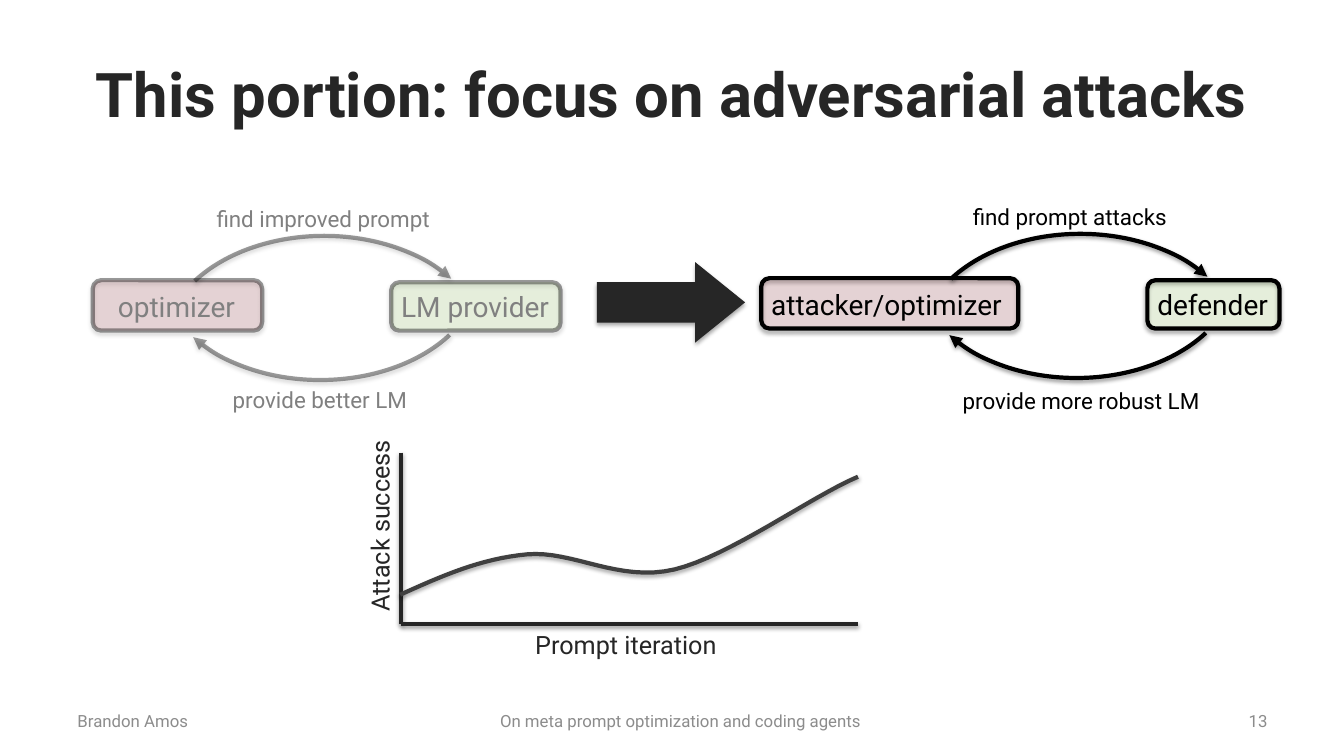
from dataclasses import dataclass
from lxml import etree
from pptx import Presentation
from pptx.dml.color import RGBColor
from pptx.enum.shapes import MSO_CONNECTOR, MSO_SHAPE
from pptx.enum.text import MSO_ANCHOR, PP_ALIGN
from pptx.oxml.ns import qn
from pptx.util import Inches, Pt

ROUND, ARC, ARROW = MSO_SHAPE.ROUNDED_RECTANGLE, MSO_SHAPE.ARC, MSO_SHAPE.RIGHT_ARROW
LEFT, MID, RIGHT = PP_ALIGN.LEFT, PP_ALIGN.CENTER, PP_ALIGN.RIGHT
TOP, CENTER = MSO_ANCHOR.TOP, MSO_ANCHOR.MIDDLE
STRAIGHT = MSO_CONNECTOR.STRAIGHT


@dataclass(frozen=True)
class Theme:
    font: str = "Roboto"
    ink: str = "262626"
    curve: str = "404040"
    black: str = "000000"
    dim: str = "808080"
    foot: str = "8C8C8C"
    red: str = "98202C"
    green: str = "92D050"
    title: int = 44
    node: int = 20
    axis: int = 18
    label: int = 16
    small: int = 12
    stroke: int = 3


T = Theme()
WIDE, HIGH = 13.33, 7.5
EDGE = 0.67

TITLE = "This portion: focus on adversarial attacks"
FOOT = [
    ("On meta prompt optimization and coding agents", 3.94, 5.62, MID),
    ("Brandon Amos", EDGE, 3.11, LEFT),
    ("13", 9.56, 3.11, RIGHT),
]
# Each loop: shift from the slide corner, text colour, line opacity,
# nodes (text, left, width, text inset), labels (text, left, top).
# Lefts and tops are measured from the shift.
LOOPS = [
    dict(at=(7.5, 1.97), color=T.black, alpha=100,
         nodes=[("attacker/optimizer", 0.05, 2.55, 0), ("defender", 3.88, 1.31, 0)],
         labels=[("find prompt attacks", 2.05, 0), ("provide more robust LM", 1.95, 1.82)]),
    dict(at=(0, 1.99), color=T.dim, alpha=39,
         nodes=[("optimizer", 0.92, 1.68, 0.15), ("LM provider", 3.88, 1.68, 0)],
         labels=[("find improved prompt", 2.05, 0), ("provide better LM", 2.21, 1.79)]),
]
TINTS = [(T.red, 15, 0.79, 0.5), (T.green, 14, 0.81, 0.48)]  # fill, opacity, top, height
ARCS = [(1.62, 0.35, 0), (1.58, -0.42, 180)]  # left, top, turn
SWEEP = (124.166, 199.079)
PLOT = dict(left=3.98, right=8.51, top=4.49, base=6.19)
CURVE = [
    [(3.97, 5.9), (4.37, 5.72), (4.77, 5.54), (5.23, 5.5)],
    [(5.23, 5.5), (5.68, 5.46), (6.14, 5.78), (6.69, 5.65)],
    [(6.69, 5.65), (7.23, 5.52), (8.04, 4.93), (8.51, 4.73)],
]
STEPS = 16

deck = Presentation()
deck.slide_width, deck.slide_height = Inches(WIDE), Inches(HIGH)
page = deck.slides.add_slide(deck.slide_layouts[6]).shapes


def fade(fill, share):
    """Give a solid fill an opacity in percent."""
    color = fill._xPr.find(qn("a:solidFill"))[0]
    etree.SubElement(color, qn("a:alpha"), val=str(share * 1000))


def shade(item, share=35, drop=1.8):
    """Add a soft shadow straight below; call after fill and line are set."""
    props = item._element.spPr
    for old in props.findall(qn("a:effectLst")):
        props.remove(old)
    effect = etree.SubElement(props, qn("a:effectLst"))
    soft = etree.SubElement(effect, qn("a:outerShdw"), blurRad=str(Pt(3.1)),
                            dist=str(Pt(drop)), dir="5400000", rotWithShape="0")
    color = etree.SubElement(soft, qn("a:srgbClr"), val=T.black)
    etree.SubElement(color, qn("a:alpha"), val=str(share * 1000))


def ink(item, color=T.black, alpha=100):
    line = item.line
    line.width = Pt(T.stroke)
    line.color.rgb = RGBColor.from_string(color)
    if alpha < 100:
        fade(line.fill, alpha)


def write(text, x, y, w, h, size, color, align=LEFT, anchor=TOP, bold=False, turn=0):
    box = page.add_textbox(*map(Inches, (x, y, w, h)))
    box.rotation = turn
    frame = box.text_frame
    frame.word_wrap, frame.vertical_anchor = True, anchor
    para = frame.paragraphs[0]
    para.text, para.alignment = text, align
    font = para.font
    font.name, font.size, font.bold = T.font, Pt(size), bold
    font.color.rgb = RGBColor.from_string(color)


def shape(kind, x, y, w, h, fill=None):
    item = page.add_shape(kind, *map(Inches, (x, y, w, h)))
    if fill:
        item.fill.solid()
        item.fill.fore_color.rgb = RGBColor.from_string(fill)
    else:
        item.fill.background()
    return item


def draw_loop(at, color, alpha, nodes, labels):
    x, y = at
    for (text, left, width, inset), (tint, share, top, high) in zip(nodes, TINTS):
        node = shape(ROUND, x + left, y + top, width, high, tint)
        fade(node.fill, share)
        ink(node, alpha=alpha)
        shade(node)
        write(text, x + left + inset, y + 0.83, width + 0.1, 0.48, T.node, color)
    for left, top, turn in ARCS:
        arc = shape(ARC, x + left, y + top, 3.19, 2.2)
        arc.adjustments[0], arc.adjustments[1] = SWEEP
        arc.rotation = turn
        ink(arc, alpha=alpha)
        etree.SubElement(arc.line._get_or_add_ln(), qn("a:tailEnd"), type="triangle")
        shade(arc, 38, 1.6)
    for text, left, top in labels:
        write(text, x + left, y + top, 2.63, 0.43, T.label, color)


def bezier(ends, t):
    u = 1 - t
    parts = (u ** 3, 3 * u * u * t, 3 * u * t * t, t ** 3)
    return tuple(Inches(sum(k * p[i] for k, p in zip(parts, ends))) for i in (0, 1))


def draw_plot(left, right, top, base):
    write("Prompt iteration", 5.21, base, 2.07, 0.4, T.axis, T.ink)
    for start in ((left, top), (right, base)):
        axis = page.add_connector(STRAIGHT, *map(Inches, (*start, left, base)))
        ink(axis, T.ink)
        shade(axis, 38, 1.6)
    dots = [bezier(part, n / STEPS) for part in CURVE for n in range(1, STEPS + 1)]
    pen = page.build_freeform(*map(Inches, CURVE[0][0]))
    pen.add_line_segments(dots, close=False)
    curve = pen.convert_to_shape()
    curve.fill.background()
    ink(curve, T.curve)
    shade(curve)
    write("Attack success", 2.79, 4.99, 1.95, 0.4, T.axis, T.ink, turn=270)


write(TITLE, EDGE, 0.3, WIDE - 2 * EDGE, 1.25, T.title, T.ink, MID, CENTER, True)
for loop in LOOPS:
    draw_loop(**loop)
arrow = shape(ARROW, 5.92, 2.6, 1.47, 0.8, T.ink)
arrow.adjustments[0], arrow.adjustments[1] = 0.5, 0.62
arrow.line.fill.background()
shade(arrow)
draw_plot(**PLOT)
for text, left, width, align in FOOT:
    write(text, left, 6.95, width, 0.4, T.small, T.foot, align, CENTER)

deck.save("out.pptx")
